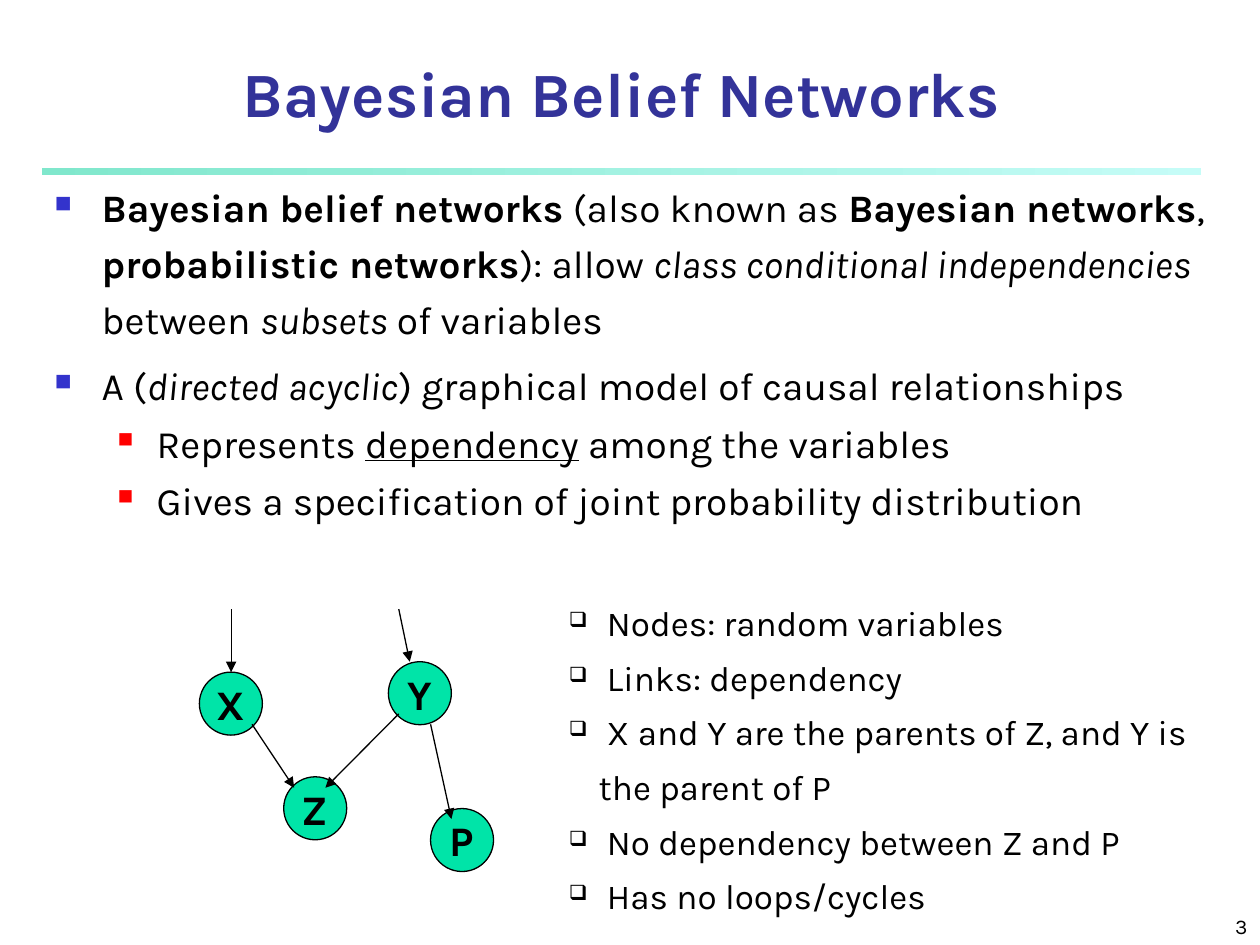
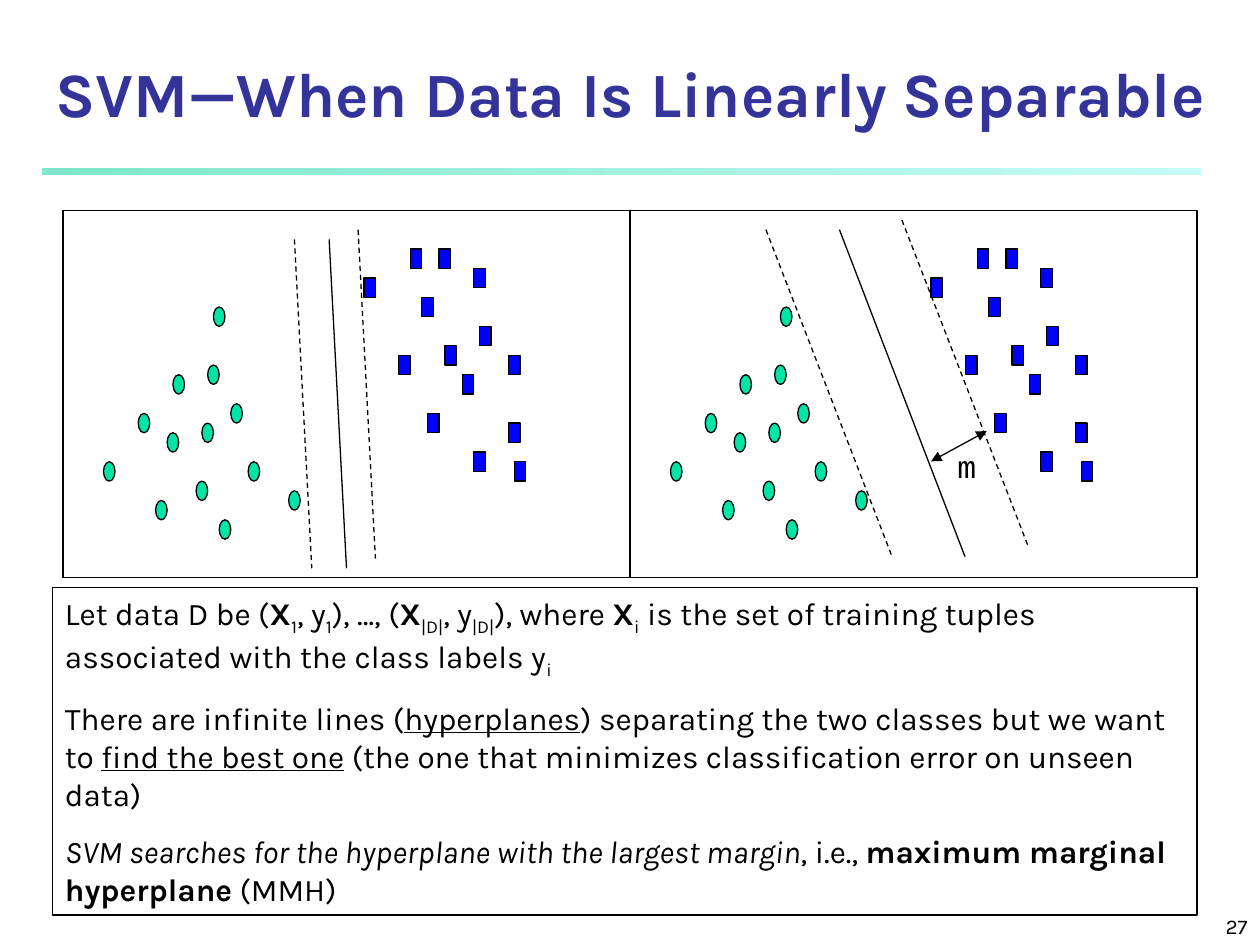
"""Build two lecture slides on Bayesian belief networks and SVM margins."""
from lxml import etree
from pptx import Presentation
from pptx.dml.color import RGBColor
from pptx.enum.dml import MSO_LINE
from pptx.enum.shapes import MSO_CONNECTOR, MSO_SHAPE
from pptx.enum.text import MSO_ANCHOR, MSO_AUTO_SIZE, PP_ALIGN
from pptx.oxml.ns import qn
from pptx.util import Cm, Pt

RECTANGLE, OVAL = MSO_SHAPE.RECTANGLE, MSO_SHAPE.OVAL
NODE = MSO_SHAPE.FLOWCHART_CONNECTOR
STRAIGHT = MSO_CONNECTOR.STRAIGHT
DASH = MSO_LINE.DASH
LEFT, CENTER, RIGHT = PP_ALIGN.LEFT, PP_ALIGN.CENTER, PP_ALIGN.RIGHT
TOP, MIDDLE, BOTTOM = MSO_ANCHOR.TOP, MSO_ANCHOR.MIDDLE, MSO_ANCHOR.BOTTOM
NO_AUTOFIT = MSO_AUTO_SIZE.NONE

FONT = "Karla"
BLACK, TITLE_BLUE, BULLET_BLUE, RED = "000000", "333399", "3333CC", "FF0000"
GREEN, BLUE = "00E4A8", "0000FF"
BAND_START, BAND_END = "80E7CC", "C5FCF7"

PANEL_TOP, PANEL_WIDTH, PANEL_HEIGHT = 4.24, 11.43, 7.41
PANEL_LEFTS = (1.27, 12.7)
CELL_WIDTH, CELL_HEIGHT = PANEL_WIDTH / 98, PANEL_HEIGHT / 38

CIRCLES = [(16, 30), (18, 23), (7, 26), (13, 21), (23, 28), (19, 17), (24, 22),
           (25, 16), (29, 20), (32, 26), (27, 32), (39, 29), (26, 10)]
SQUARES = [(58, 15), (52, 7), (60, 4), (63, 21), (62, 9), (66, 14), (65, 4),
           (71, 6), (69, 17), (72, 12), (71, 25), (77, 15), (77, 22), (78, 26)]
NARROW_MARGIN = [((51, 2), (54, 36), DASH), ((40, 3), (43, 37), DASH),
                 ((46, 3), (49, 37), None)]
WIDE_MARGIN = [((23.5, 2), (45.3, 35.8), DASH), ((47, 1), (68.8, 34.7), DASH),
               ((36.2, 2), (57.9, 35.8), None)]


def color(value):
    """Turn a hex string into a colour."""
    return RGBColor.from_string(value)


def place(shape, left, top, width, height):
    """Set the place and size of a shape in centimetres."""
    shape.left, shape.top = Cm(left), Cm(top)
    shape.width, shape.height = Cm(width), Cm(height)


def set_bullet(para, char, tint, percent, margin, hang):
    """Give a paragraph a hanging bullet."""
    properties = para._p.get_or_add_pPr()
    properties.set("marL", str(Cm(margin)))
    properties.set("indent", str(-Cm(hang)))
    holder = etree.SubElement(properties, qn("a:buClr"))
    etree.SubElement(holder, qn("a:srgbClr"), val=tint)
    etree.SubElement(properties, qn("a:buSzPct"), val=str(percent * 1000))
    etree.SubElement(properties, qn("a:buChar"), char=char)


def write(para, content, size=18, font=FONT, tint=BLACK, bold=False, align=LEFT,
          before=0, spacing=1.0, bullet=None):
    """Fill a paragraph with a string or with (text, marks) spans."""
    para.alignment = align
    para.space_before, para.line_spacing = Pt(before), spacing
    if bullet:
        set_bullet(para, *bullet)
    spans = [(content, "")] if isinstance(content, str) else content
    for text, marks in spans:
        span = para.add_run()
        span.text = text
        span.font.name, span.font.size = font, Pt(size)
        span.font.color.rgb = color(tint)
        span.font.bold = bold or "b" in marks
        span.font.italic = "i" in marks
        span.font.underline = "u" in marks
        if "s" in marks:
            span._r.get_or_add_rPr().set("baseline", "-25000")


def fill_frame(shape, paragraphs, anchor=TOP, wrap=True, **style):
    """Write paragraphs, each as content with its own options, in a shape."""
    frame = shape.text_frame
    frame.auto_size, frame.word_wrap = NO_AUTOFIT, wrap
    frame.vertical_anchor = anchor
    for index, (content, options) in enumerate(paragraphs):
        para = frame.add_paragraph() if index else frame.paragraphs[0]
        write(para, content, **{**style, **options})


def add_text(page, area, paragraphs, **style):
    """Add a text box."""
    box = page.shapes.add_textbox(*map(Cm, area))
    fill_frame(box, paragraphs, **style)


def add_figure(page, kind, area, fill=None):
    """Add a thinly outlined shape, filled or hollow."""
    shape = page.shapes.add_shape(kind, *map(Cm, area))
    shape.shadow.inherit = False
    if fill:
        shape.fill.solid()
        shape.fill.fore_color.rgb = color(fill)
    else:
        shape.fill.background()
    shape.line.color.rgb = color(BLACK)
    shape.line.width = Pt(0.75)
    return shape


def add_line(page, start, end, dash=None, arrows=()):
    """Add a thin line with arrowheads at the ends named in arrows."""
    line = page.shapes.add_connector(STRAIGHT, *map(Cm, (*start, *end)))
    line.line.color.rgb = color(BLACK)
    line.line.width = Pt(0.75)
    if dash:
        line.line.dash_style = dash
    outline = line.line._get_or_add_ln()
    for end_name in arrows:
        etree.SubElement(outline, qn(f"a:{end_name}"), type="triangle")
    etree.SubElement(line._element.spPr, qn("a:effectLst"))


def add_page(deck, title, title_left, title_width, number):
    """Add a slide with its title, gradient band and page number."""
    page = deck.slides.add_slide(deck.slide_layouts[5])
    band = page.shapes.add_shape(RECTANGLE, Cm(0.84), Cm(3.39), Cm(23.37), Cm(0.14))
    band.shadow.inherit = False
    band.line.fill.background()
    band.fill.gradient()
    band.fill.gradient_angle = 0
    for stop, tint in zip(band.fill.gradient_stops, (BAND_START, BAND_END)):
        stop.color.rgb = color(tint)
    place(page.shapes.title, title_left, 1.06, title_width, 1.7)
    fill_frame(page.shapes.title, [(title, {})], anchor=BOTTOM, size=36,
               tint=TITLE_BLUE, bold=True, align=CENTER)
    add_text(page, (20.12, 17.98, 5.28, 1.07), [(str(number), {})],
             anchor=BOTTOM, size=12, align=RIGHT)
    return page


def add_network(page):
    """Draw the four-node graph with its links."""
    nodes = {"X": (4.02, 13.55), "Y": (7.83, 13.34), "Z": (5.72, 15.66), "P": (8.68, 16.3)}
    links = [((5.08, 14.6), (5.93, 15.88)), ((8.04, 14.39), (6.56, 15.88)),
             ((8.68, 14.6), (9.1, 16.51)), ((4.66, 12.28), (4.66, 13.55)),
             ((8.04, 12.28), (8.26, 13.34))]
    for name, (left, top) in nodes.items():
        node = add_figure(page, NODE, (left, top, 1.27, 1.27), GREEN)
        fill_frame(node, [(name, {})], anchor=MIDDLE, wrap=False, size=24,
                   bold=True, align=CENTER)
    for start, end in links:
        add_line(page, start, end, arrows=("tailEnd",))


def add_panel(page, left, margin_lines):
    """Draw one framed scatter of both classes with its separating lines."""
    def at(point):
        """Turn a grid point into centimetres on the slide."""
        return left + point[0] * CELL_WIDTH, PANEL_TOP + point[1] * CELL_HEIGHT

    for kind, fill, points in ((OVAL, GREEN, CIRCLES), (RECTANGLE, BLUE, SQUARES)):
        for point in points:
            add_figure(page, kind, (*at(point), 2 * CELL_WIDTH, 2 * CELL_HEIGHT), fill)
    add_figure(page, RECTANGLE, (left, PANEL_TOP, PANEL_WIDTH, PANEL_HEIGHT))
    for start, end, dash in margin_lines:
        add_line(page, at(start), at(end), dash)


def build_bayes(deck):
    """Build the slide on Bayesian belief networks."""
    page = add_page(deck, "Bayesian Belief Networks", 0.85, 23.34, 3)
    main_point = {"spacing": 1.2, "bullet": ("■", BULLET_BLUE, 60, 0.95, 0.95)}
    sub_point = {"bullet": ("■", RED, 55, 2.06, 0.79)}
    add_text(page, (0.85, 3.39, 23.7, 8.36), [
        ([("Bayesian belief networks", "b"), (" (also known as ", ""),
          ("Bayesian networks", "b"), (", ", ""), ("probabilistic networks", "b"),
          ("): allow ", ""), ("class conditional independencies", "i"),
          (" between ", ""), ("subsets", "i"), (" of variables", "")], main_point),
        ([("A (", ""), ("directed acyclic", "i"),
          (") graphical model of causal relationships", "")], main_point),
        ([("Represents ", ""), ("dependency", "u"), (" among the variables", "")], sub_point),
        ("Gives a specification of joint probability distribution", sub_point),
    ], size=22.2, before=6)
    add_network(page)
    notes = [" Nodes: random variables", " Links: dependency",
             " X and Y are the parents of Z, and Y is the parent of P",
             " No dependency between Z and P", " Has no loops/cycles"]
    add_text(page, (11.22, 11.75, 13.72, 6.86), [(note, {}) for note in notes],
             size=20, spacing=1.3, bullet=("❑", BLACK, 60, 0.6, 0.6))


def build_svm(deck):
    """Build the slide on linearly separable data."""
    page = add_page(deck, "SVM—When Data Is Linearly Separable", 0, 25.4, 27)
    for left, margin_lines in zip(PANEL_LEFTS, (NARROW_MARGIN, WIDE_MARGIN)):
        add_panel(page, left, margin_lines)
    add_line(page, (18.77, 9.3), (19.89, 8.69), arrows=("headEnd", "tailEnd"))
    add_text(page, (19.05, 8.89, 1.48, 1.02), [("m", {})], font="Courier New", before=11.2)
    summary = add_figure(page, RECTANGLE, (1.06, 11.85, 23.07, 6.6))
    fill_frame(summary, [
        ([("Let data D be (", ""), ("X", "b"), ("1", "s"), (", y", ""), ("1", "s"),
          ("), …, (", ""), ("X", "b"), ("|D|", "s"), (", y", ""), ("|D|", "s"),
          ("), where ", ""), ("X", "b"), ("i", "s"),
          (" is the set of training tuples associated with the class labels y", ""),
          ("i", "s")], {}),
        ([("There are infinite lines (", ""), ("hyperplanes", "u"),
          (") separating the two classes but we want to ", ""),
          ("find the best one", "u"),
          (" (the one that minimizes classification error on unseen data)", "")], {}),
        ([("SVM searches for the hyperplane with the largest margin", "i"),
          (", i.e., ", ""), ("maximum marginal hyperplane", "b"), (" (MMH)", "")], {}),
    ], before=11.2)


def main():
    """Build and save the deck."""
    deck = Presentation()
    deck.slide_width, deck.slide_height = Cm(25.4), Cm(19.05)
    build_bayes(deck)
    build_svm(deck)
    deck.save("out.pptx")


if __name__ == "__main__":
    main()
